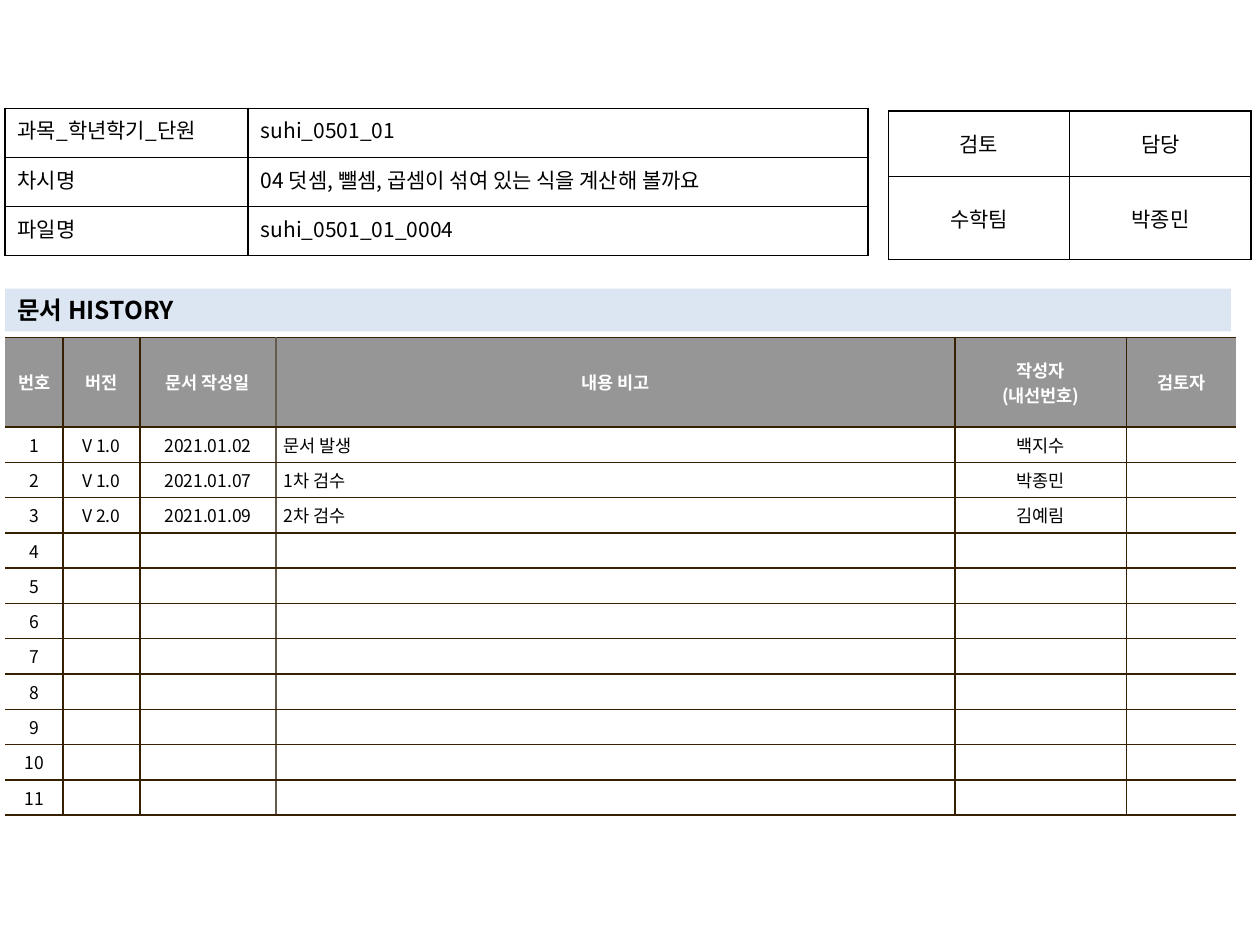
from dataclasses import dataclass

from lxml.etree import SubElement
from pptx import Presentation
from pptx.dml.color import RGBColor
from pptx.enum.shapes import MSO_SHAPE
from pptx.enum.text import MSO_ANCHOR, PP_ALIGN
from pptx.oxml.ns import qn
from pptx.util import Inches, Pt


@dataclass(frozen=True)
class Theme:
    font: str = "Noto Sans CJK KR"
    black: str = "000000"
    white: str = "FFFFFF"
    header: str = "969696"
    section: str = "DCE6F2"
    grid: str = "362000"
    soft_grid: str = "645B4C"
    history_size: int = 10
    form_size: int = 12
    section_size: int = 14
    line: int = 1


THEME = Theme()
FORM_INSETS = (0.1, 0.05)
HISTORY_INSETS = (0.06, 0.04)

LESSON = [
    ["과목_학년학기_단원", "suhi_0501_01"],
    ["차시명", "04 덧셈, 뺄셈, 곱셈이 섞여 있는 식을 계산해 볼까요"],
    ["파일명", "suhi_0501_01_0004"],
]
APPROVAL = [["검토", "담당"], ["수학팀", "박종민"]]
HEADINGS = ["번호", "버전", "문서 작성일", "내용 비고", "작성자\n(내선번호)", "검토자"]
REVISIONS = [
    ["V 1.0", "2021.01.02", "문서 발생", "백지수", ""],
    ["V 1.0", "2021.01.07", "1차 검수", "박종민", ""],
    ["V 2.0", "2021.01.09", "2차 검수", "김예림", ""],
]
REVISION_ROWS = 11
REMARK = HEADINGS.index("내용 비고")


def write(frame, text, size, color=THEME.black, bold=False, align=PP_ALIGN.LEFT):
    frame.text = text
    for paragraph in frame.paragraphs:
        paragraph.alignment = align
        font = paragraph.font
        font.size, font.bold, font.name = Pt(size), bold, THEME.font
        font.color.rgb = RGBColor.from_string(color)
        defaults = paragraph._p.find(qn("a:pPr")).find(qn("a:defRPr"))
        SubElement(defaults, qn("a:ea"), typeface=THEME.font)
        if not text:  # keeps an empty cell as low as its row
            SubElement(paragraph._p, qn("a:endParaRPr"), sz=str(size * 100))


def set_borders(cell, left, right, top, bottom):
    """Draw each side in its colour; None leaves that side open."""
    properties = cell._tc.get_or_add_tcPr()
    for side, color in zip("LRTB", (left, right, top, bottom)):
        line = SubElement(properties, qn(f"a:ln{side}"), w=str(Pt(THEME.line)))
        if color:
            fill = SubElement(line, qn("a:solidFill"))
            SubElement(fill, qn("a:srgbClr"), val=color)
        else:
            SubElement(line, qn("a:noFill"))


def add_grid(slide, left, top, widths, heights):
    table = slide.shapes.add_table(
        len(heights), len(widths), Inches(left), Inches(top),
        Inches(sum(widths)), Inches(sum(heights))).table
    table.first_row = table.horz_banding = False
    for column, width in zip(table.columns, widths):
        column.width = Inches(width)
    for row, height in zip(table.rows, heights):
        row.height = Inches(height)
    return table


def set_cell(cell, insets, anchor, borders, fill=None):
    cell.margin_left = cell.margin_right = Inches(insets[0])
    cell.margin_top = cell.margin_bottom = Inches(insets[1])
    cell.vertical_anchor = anchor
    set_borders(cell, *borders)
    if fill:
        cell.fill.solid()
        cell.fill.fore_color.rgb = RGBColor.from_string(fill)
    else:
        cell.fill.background()


def add_form(slide, left, top, widths, heights, entries, anchor, aligns):
    table = add_grid(slide, left, top, widths, heights)
    for r, entry in enumerate(entries):
        for c, text in enumerate(entry):
            cell = table.cell(r, c)
            set_cell(cell, FORM_INSETS, anchor, [THEME.black] * 4)
            write(cell.text_frame, text, THEME.form_size, align=aligns[c])


def add_section_bar(slide, left, top, width, height, title):
    bar = slide.shapes.add_shape(
        MSO_SHAPE.RECTANGLE, Inches(left), Inches(top), Inches(width), Inches(height))
    bar.shadow.inherit = False
    bar.fill.solid()
    bar.fill.fore_color.rgb = RGBColor.from_string(THEME.section)
    bar.line.fill.background()
    bar.text_frame.vertical_anchor = MSO_ANCHOR.MIDDLE
    write(bar.text_frame, title, THEME.section_size, bold=True)


def add_history(slide, left, top, widths, header_height, row_height):
    blank = [""] * (len(HEADINGS) - 1)
    entries = [HEADINGS]
    for number in range(1, REVISION_ROWS + 1):
        details = REVISIONS[number - 1] if number <= len(REVISIONS) else blank
        entries.append([str(number), *details])

    # Vertical rules from left to right; the outer sides stay open
    rules = [None] + [THEME.grid] * (len(widths) - 1) + [None]
    rules[REMARK] = THEME.soft_grid

    heights = [header_height] + [row_height] * REVISION_ROWS
    table = add_grid(slide, left, top, widths, heights)
    for r, entry in enumerate(entries):
        heading = r == 0
        for c, text in enumerate(entry):
            cell = table.cell(r, c)
            set_cell(cell, HISTORY_INSETS, MSO_ANCHOR.MIDDLE,
                     (rules[c], rules[c + 1], THEME.grid, THEME.grid),
                     THEME.header if heading else THEME.white)
            remark = c == REMARK and not heading
            write(cell.text_frame, text, THEME.history_size,
                  THEME.white if heading else THEME.black, heading,
                  PP_ALIGN.LEFT if remark else PP_ALIGN.CENTER)


def main():
    deck = Presentation()
    deck.slide_width, deck.slide_height = Inches(10), Inches(7.5)
    slide = deck.slides.add_slide(deck.slide_layouts[6])

    # Revision history
    add_history(slide, 0.04, 2.68, [0.46, 0.61, 1.08, 5.39, 1.36, 0.87], 0.71, 0.28)
    # Approval box
    add_form(slide, 7.05, 0.88, [1.44] * 2, [0.52, 0.66], APPROVAL,
             MSO_ANCHOR.MIDDLE, [PP_ALIGN.CENTER] * 2)
    # History heading
    add_section_bar(slide, 0.04, 2.29, 9.73, 0.34, "문서 HISTORY")
    # Lesson details
    add_form(slide, 0.04, 0.86, [1.93, 4.92], [0.39] * 3, LESSON,
             MSO_ANCHOR.TOP, [PP_ALIGN.JUSTIFY, PP_ALIGN.LEFT])

    deck.save("out.pptx")


if __name__ == "__main__":
    main()
